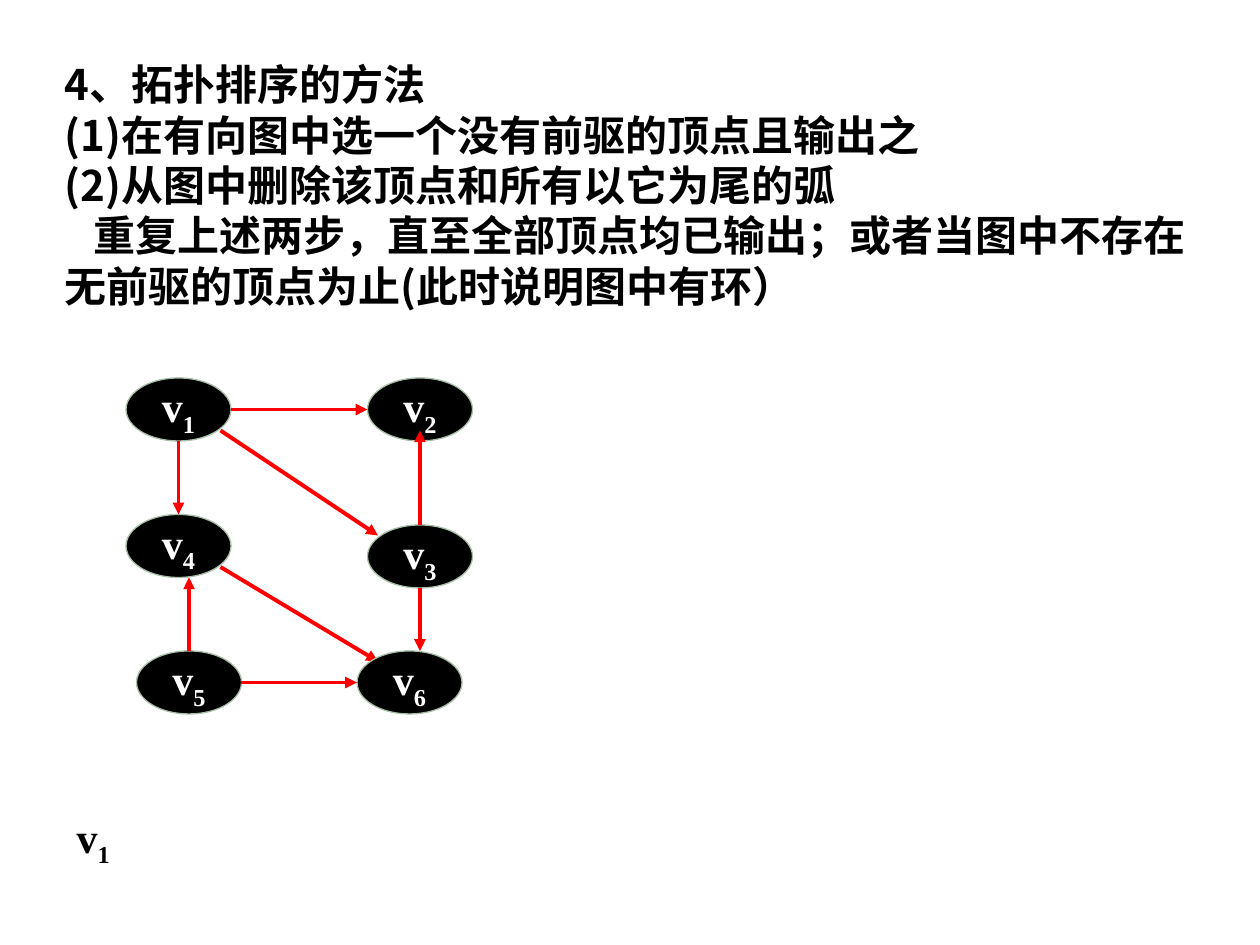
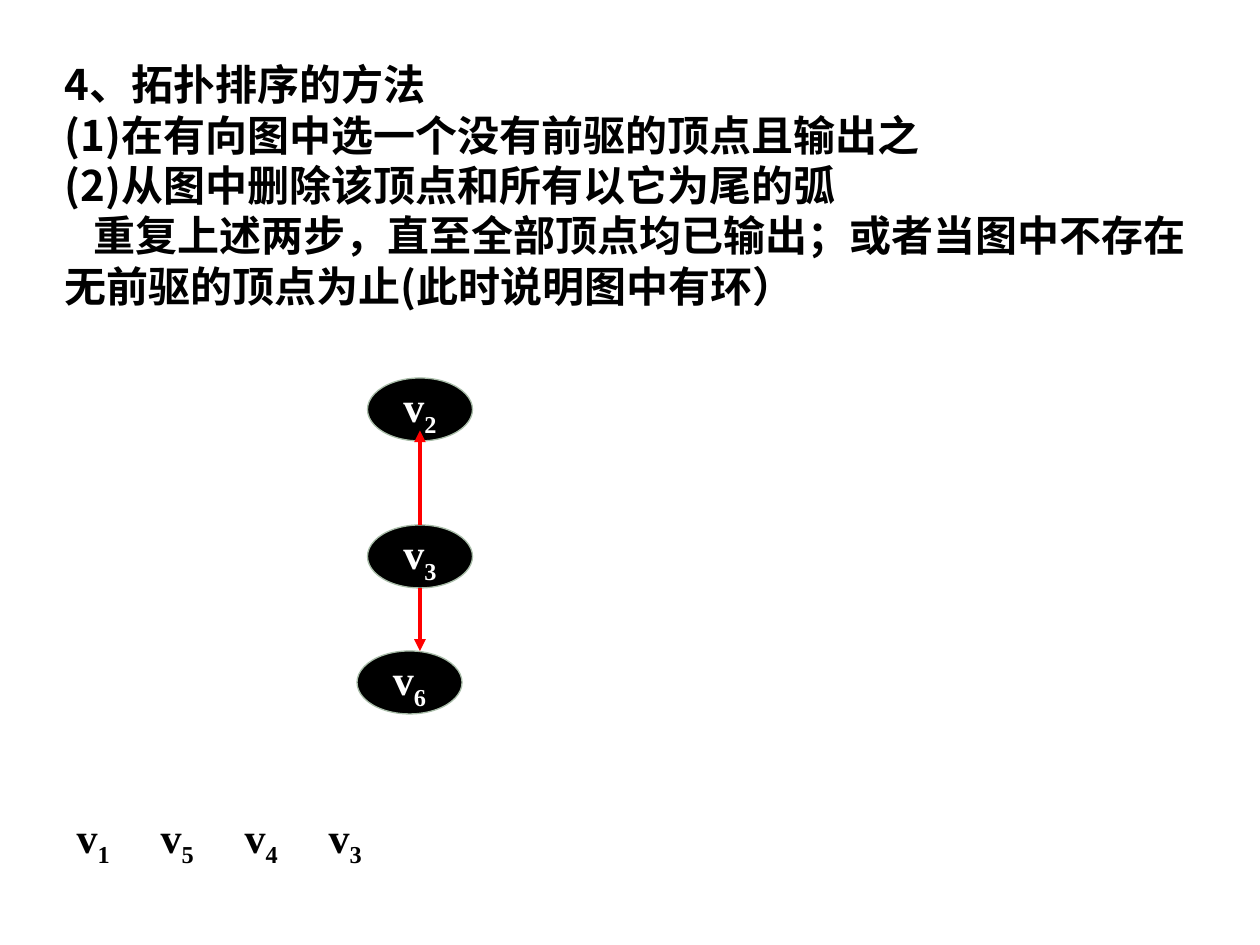
"""Build two slides that show topological sorting of a directed graph."""
from lxml import etree
from pptx import Presentation
from pptx.dml.color import RGBColor
from pptx.enum.shapes import MSO_CONNECTOR, MSO_SHAPE
from pptx.enum.text import MSO_ANCHOR, MSO_AUTO_SIZE, PP_ALIGN
from pptx.oxml.ns import qn
from pptx.util import Pt

STRAIGHT = MSO_CONNECTOR.STRAIGHT
OVAL = MSO_SHAPE.OVAL
MIDDLE = MSO_ANCHOR.MIDDLE
GROW = MSO_AUTO_SIZE.SHAPE_TO_FIT_TEXT
CENTER = PP_ALIGN.CENTER

BLACK = RGBColor(0x00, 0x00, 0x00)
WHITE = RGBColor(0xFF, 0xFF, 0xFF)
RED = RGBColor(0xFF, 0x00, 0x00)
SAGE = RGBColor(0xA9, 0xBD, 0xA9)
CJK_FONT = "Noto Sans CJK SC"
VERTEX_FONT = "Times New Roman"

METHOD = [
    ("4、拓扑排序的方法", 0),
    ("(1)在有向图中选一个没有前驱的顶点且输出之", 0),
    ("(2)从图中删除该顶点和所有以它为尾的弧", 0),
    ("重复上述两步，直至全部顶点均已输出；或者当图中不存在无前驱的顶点为止(此时说明图中有环）", 16.5),
]
VERTEX_W, VERTEX_H = 60, 36
VERTICES = {4: (72, 294), 2: (210, 216), 6: (204, 372),
            3: (210, 300), 5: (78, 372), 1: (72, 216)}

TOP, LEFT, BOTTOM, RIGHT = (30, 0), (0, 18), (30, 36), (60, 18)
LOWER_RIGHT = (54, 30)
ARCS = [
    (4, LOWER_RIGHT, 6, (12, 6)),
    (3, TOP, 2, (30, 30)),
    (3, BOTTOM, 6, (36, 0)),
    (5, RIGHT, 6, LEFT),
    (5, TOP, 4, (36, 36)),
    (1, RIGHT, 2, LEFT),
    (1, BOTTOM, 4, TOP),
    (1, LOWER_RIGHT, 3, (6, 6)),
]
STEPS = [
    {"graph": [4, 2, 6, 3, 5, 1], "output": [1]},
    {"graph": [2, 6, 3], "output": [1, 5, 4, 3]},
]
OUTPUT_LEFT, OUTPUT_TOP, OUTPUT_STEP = 36.75, 460, 48


def add_run(p, text, font, color):
    r = p.add_run()
    r.text = text
    r.font.size = Pt(24)
    r.font.bold = True
    r.font.color.rgb = color
    r.font.name = font
    etree.SubElement(r.font._element, qn("a:ea"), typeface=font)
    return r


def add_label(sp, number, color):
    tf = sp.text_frame
    tf.word_wrap = False
    tf.vertical_anchor = MIDDLE
    p = tf.paragraphs[0]
    p.alignment = CENTER
    add_run(p, "v", VERTEX_FONT, color)
    r = add_run(p, str(number), VERTEX_FONT, color)
    r.font._element.set("baseline", "-25000")


def add_method(s):
    tf = s.shapes.add_textbox(Pt(30), Pt(30), Pt(661), Pt(151)).text_frame
    tf.word_wrap = True
    tf.vertical_anchor = MIDDLE
    for i, (text, indent) in enumerate(METHOD):
        p = tf.add_paragraph() if i else tf.paragraphs[0]
        if indent:
            p._p.get_or_add_pPr().set("indent", str(Pt(indent)))
        add_run(p, text, CJK_FONT, BLACK)


def add_vertex(s, number):
    x, y = VERTICES[number]
    sp = s.shapes.add_shape(OVAL, Pt(x), Pt(y), Pt(VERTEX_W), Pt(VERTEX_H))
    sp.shadow.inherit = False
    sp.fill.solid()
    sp.fill.fore_color.rgb = BLACK
    sp.line.color.rgb = SAGE
    sp.line.width = Pt(0.75)
    add_label(sp, number, WHITE)


def add_arc(s, tail, tail_offset, head, head_offset):
    ends = [Pt(a + b) for vertex, offset in ((tail, tail_offset), (head, head_offset))
            for a, b in zip(VERTICES[vertex], offset)]
    line = s.shapes.add_connector(STRAIGHT, *ends)
    line.line.color.rgb = RED
    line.line.width = Pt(2.25)
    etree.SubElement(line.line._get_or_add_ln(), qn("a:tailEnd"), type="triangle")
    etree.SubElement(line._element.spPr, qn("a:effectLst"))


def add_output(s, numbers):
    for i, number in enumerate(numbers):
        sp = s.shapes.add_textbox(Pt(OUTPUT_LEFT + i * OUTPUT_STEP), Pt(OUTPUT_TOP),
                                  Pt(33), Pt(40))
        add_label(sp, number, BLACK)
        tf = sp.text_frame
        tf.margin_left = tf.margin_right = 0
        tf.auto_size = GROW


def main():
    prs = Presentation()
    prs.slide_width, prs.slide_height = Pt(720), Pt(540)
    for step in STEPS:
        s = prs.slides.add_slide(prs.slide_layouts[6])
        add_method(s)
        for number in step["graph"]:
            add_vertex(s, number)
            for arc in ARCS:
                if arc[0] == number:
                    add_arc(s, *arc)
        add_output(s, step["output"])
    prs.save("out.pptx")


if __name__ == "__main__":
    main()
